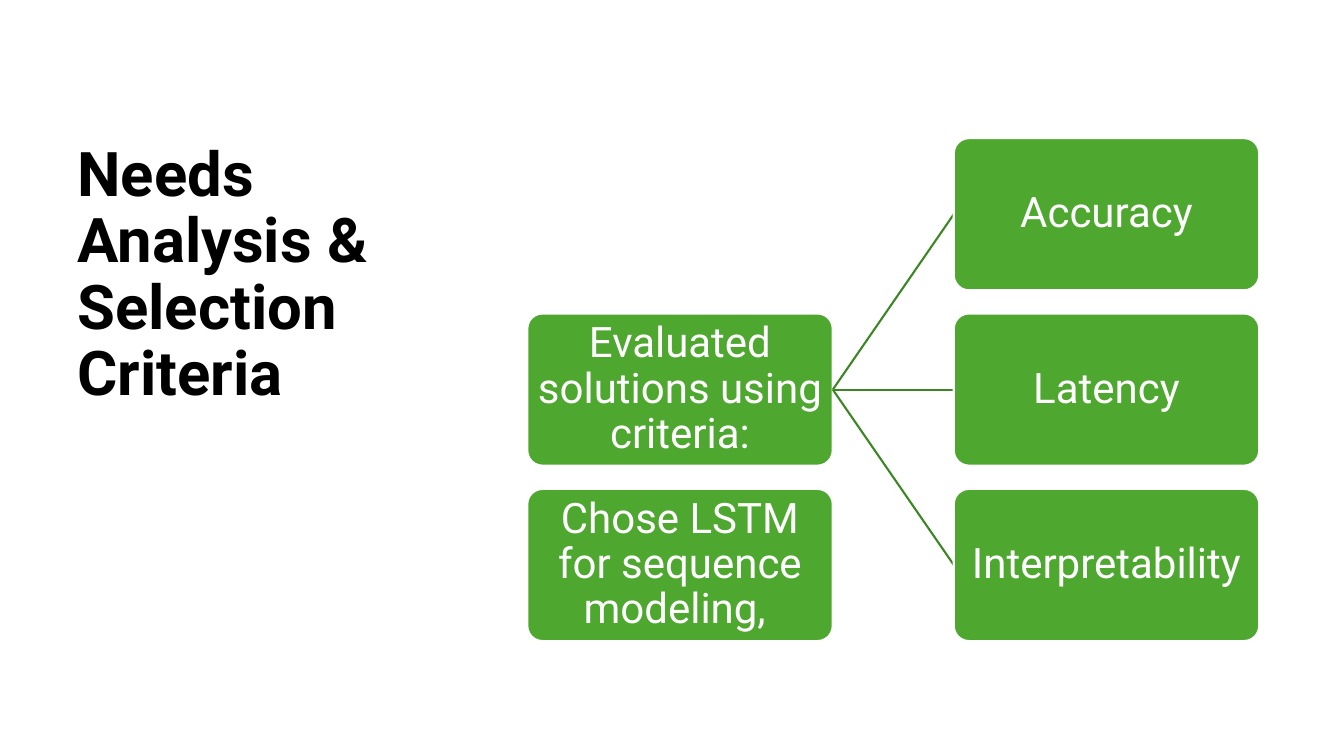
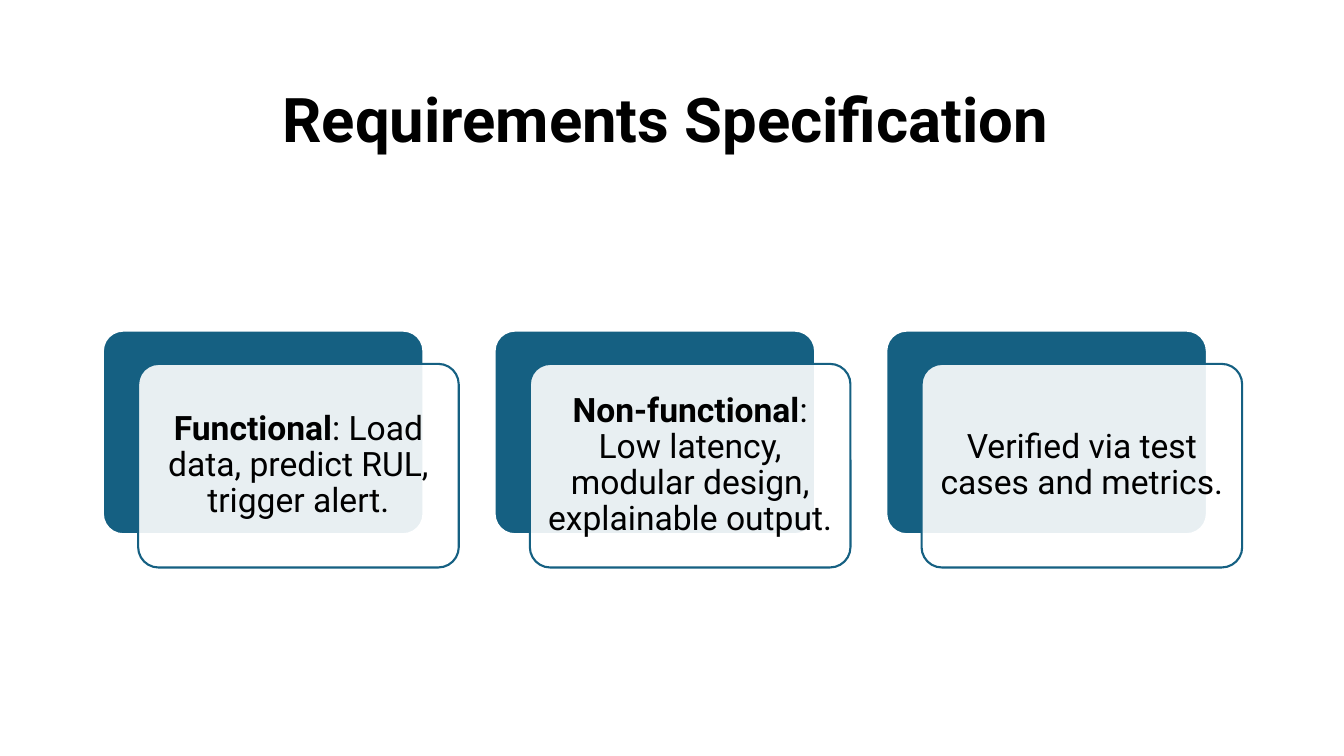
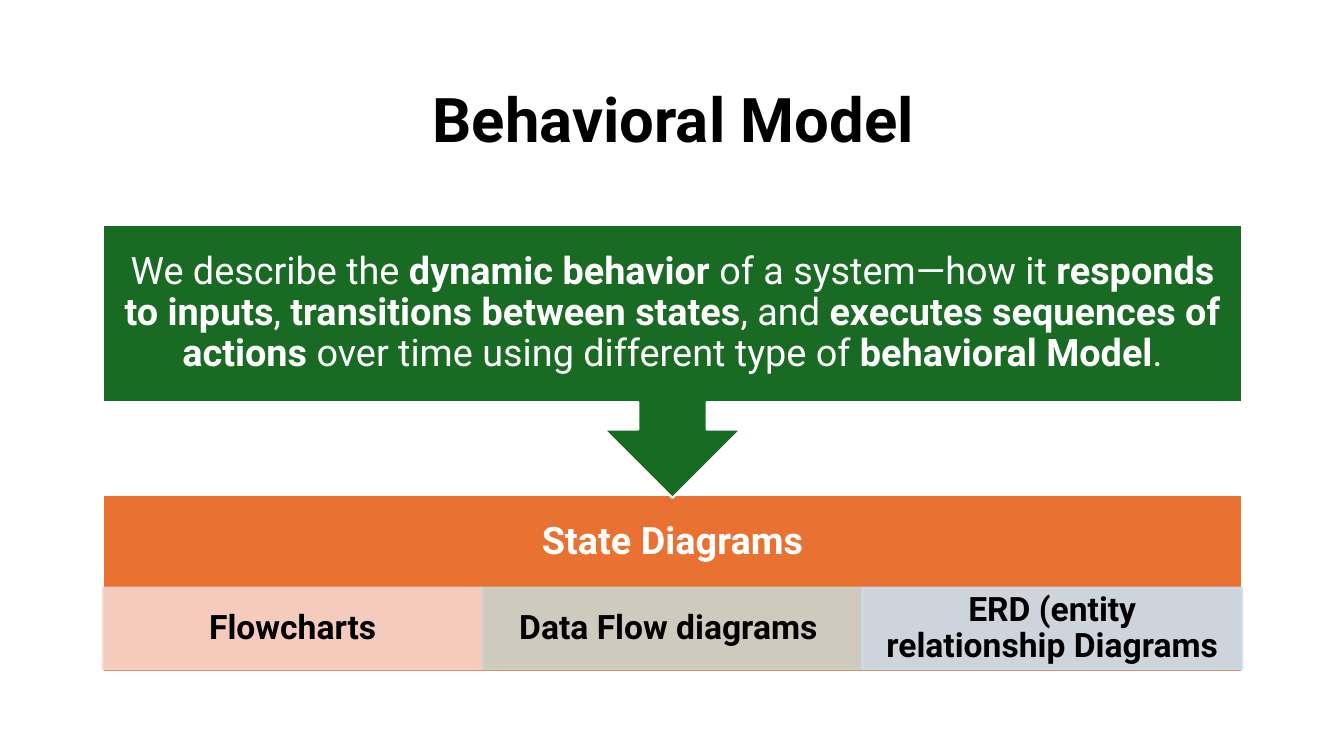
from pptx import Presentation
from pptx.dml.color import RGBColor
from pptx.enum.shapes import MSO_CONNECTOR, MSO_SHAPE
from pptx.enum.text import MSO_ANCHOR, PP_ALIGN
from pptx.oxml.ns import qn
from pptx.util import Inches, Pt
from lxml import etree

STRAIGHT = MSO_CONNECTOR.STRAIGHT
ROUNDED = MSO_SHAPE.ROUNDED_RECTANGLE
RECTANGLE = MSO_SHAPE.RECTANGLE
CALLOUT = MSO_SHAPE.DOWN_ARROW_CALLOUT
TOP, MIDDLE = MSO_ANCHOR.TOP, MSO_ANCHOR.MIDDLE
LEFT, CENTER = PP_ALIGN.LEFT, PP_ALIGN.CENTER

# Shared style
FONT = "Roboto"
BLACK, WHITE = "000000", "FFFFFF"
LEAF, LEAF_DARK = "4EA72E", "3E8625"
TEAL, FOREST, ORANGE = "156082", "196B24", "E97132"
LINE_WIDTH = 1.5
TITLE_SIZE = 44
LINE_SPACING = 0.9
CORNER = 0.1
OPACITY = 90
CENTERED_TITLE = (1.67, 0.6, 10.02, 1.24)


def color(hex_value):
    return RGBColor.from_string(hex_value)


def write(shape, runs, size, hex_color, align=CENTER, anchor=MIDDLE, insets=None):
    """Fill a shape with one paragraph; runs is a list of (text, bold)."""
    frame = shape.text_frame
    frame.word_wrap = True
    frame.vertical_anchor = anchor
    if insets:
        (frame.margin_left, frame.margin_top,
         frame.margin_right, frame.margin_bottom) = map(Inches, insets)
    paragraph = frame.paragraphs[0]
    paragraph.alignment = align
    paragraph.line_spacing = LINE_SPACING
    for text, bold in runs:
        run = paragraph.add_run()
        run.text = text
        run.font.name = FONT
        run.font.size = Pt(size)
        run.font.bold = bold
        run.font.color.rgb = color(hex_color)


def add_title(slide, text, box=CENTERED_TITLE, align=CENTER, anchor=MIDDLE):
    title = slide.shapes.add_textbox(*map(Inches, box))
    write(title, [(text, True)], TITLE_SIZE, BLACK, align, anchor)


def add_box(slide, kind, box, fill, line=WHITE):
    shape = slide.shapes.add_shape(kind, *map(Inches, box))
    shape.shadow.inherit = False
    shape.fill.solid()
    shape.fill.fore_color.rgb = color(fill)
    shape.line.color.rgb = color(line)
    shape.line.width = Pt(LINE_WIDTH)
    if kind == ROUNDED:
        shape.adjustments[0] = CORNER
    return shape


def make_translucent(properties):
    """Add opacity to the solid fill of a shape or an outline."""
    paint = properties.find(qn("a:solidFill"))[0]
    etree.SubElement(paint, qn("a:alpha")).set("val", str(OPACITY * 1000))


def add_link(slide, start, end):
    link = slide.shapes.add_connector(STRAIGHT, *map(Inches, start + end))
    link.line.color.rgb = color(LEAF_DARK)
    link.line.width = Pt(LINE_WIDTH)
    etree.SubElement(link.element.spPr, qn("a:effectLst"))


def build_criteria(slide):
    add_title(slide, "Needs Analysis & Selection Criteria",
              (0.67, 1.37, 3.82, 5), LEFT, TOP)
    width, height = 3.03, 1.51
    top, pitch = 1.37, 1.74
    source_left, criteria_left = 5.23, 9.46

    def add_node(left, row, text):
        node = add_box(slide, ROUNDED, (left, top + row * pitch, width, height), LEAF)
        write(node, [(text, False)], 30, WHITE, insets=[0.02] * 4)

    def row_center(row):
        return top + row * pitch + height / 2

    # Source node and its branches
    add_node(source_left, 1, "Evaluated solutions using criteria:")
    for row, text in enumerate(["Accuracy", "Latency", "Interpretability"]):
        add_link(slide, (source_left + width, row_center(1)),
                 (criteria_left, row_center(row)))
        add_node(criteria_left, row, text)
    # Decision
    add_node(source_left, 2, "Chose LSTM for sequence modeling, ")


def build_requirements(slide):
    add_title(slide, "Requirements Specification ")
    cards = [
        [("Functional", True), (": Load data, predict RUL, trigger alert.", False)],
        [("Non-functional", True),
         (": Low latency, modular design, explainable output.", False)],
        [("Verified via test cases and metrics.", False)],
    ]
    left, top, pitch = 1.02, 3.28, 3.885
    width, height = 3.18, 2.02
    shift_x, shift_y = 0.35, 0.33
    for index, runs in enumerate(cards):
        card_left = left + index * pitch
        add_box(slide, ROUNDED, (card_left, top, width, height), TEAL)
        front = add_box(slide, ROUNDED,
                        (card_left + shift_x, top + shift_y, width, height), WHITE, TEAL)
        make_translucent(front.element.spPr)
        write(front, runs, 24, BLACK, insets=[0.1] * 4)


def build_behavior(slide):
    add_title(slide, "Behavioral Model")
    left, width = 1.02, 11.3
    inset = 0.21

    # Lower band: heading above a row of model types
    cell_top, cell_height = 5.83, 0.81
    band = add_box(slide, RECTANGLE, (left, 4.91, width, 1.76), ORANGE)
    write(band, [("State Diagrams", True)], 27, WHITE,
          insets=[inset, inset, inset, inset + cell_height])
    models = [("Flowcharts", "F7D5CE"), ("Data Flow diagrams ", "CCD4CD"),
              ("ERD (entity relationship Diagrams", "CCDFEF")]
    cell_width = width / len(models)
    for index, (text, tint) in enumerate(models):
        cell = add_box(slide, RECTANGLE,
                       (left + index * cell_width, cell_top, cell_width, cell_height),
                       tint, tint)
        properties = cell.element.spPr
        make_translucent(properties)
        make_translucent(properties.find(qn("a:ln")))
        write(cell, [(text, True)], 24, BLACK, insets=[0.19, 0.03, 0.19, 0.03])

    # Description pointing down to the band
    callout = add_box(slide, CALLOUT, (left, 2.23, width, 2.71), FOREST)
    write(callout, [
        ("We describe the ", False), ("dynamic behavior", True),
        (" of a system—how it ", False), ("responds to inputs", True),
        (", ", False), ("transitions between states", True),
        (", and ", False), ("executes sequences of actions", True),
        (" over time using different type of ", False),
        ("behavioral Model", True), (".", False),
    ], 27, WHITE, insets=[inset] * 4)


def main():
    presentation = Presentation()
    presentation.slide_width = Inches(13.33)
    presentation.slide_height = Inches(7.5)
    blank = presentation.slide_layouts[6]
    for build in (build_criteria, build_requirements, build_behavior):
        build(presentation.slides.add_slide(blank))
    presentation.save("out.pptx")


if __name__ == "__main__":
    main()
